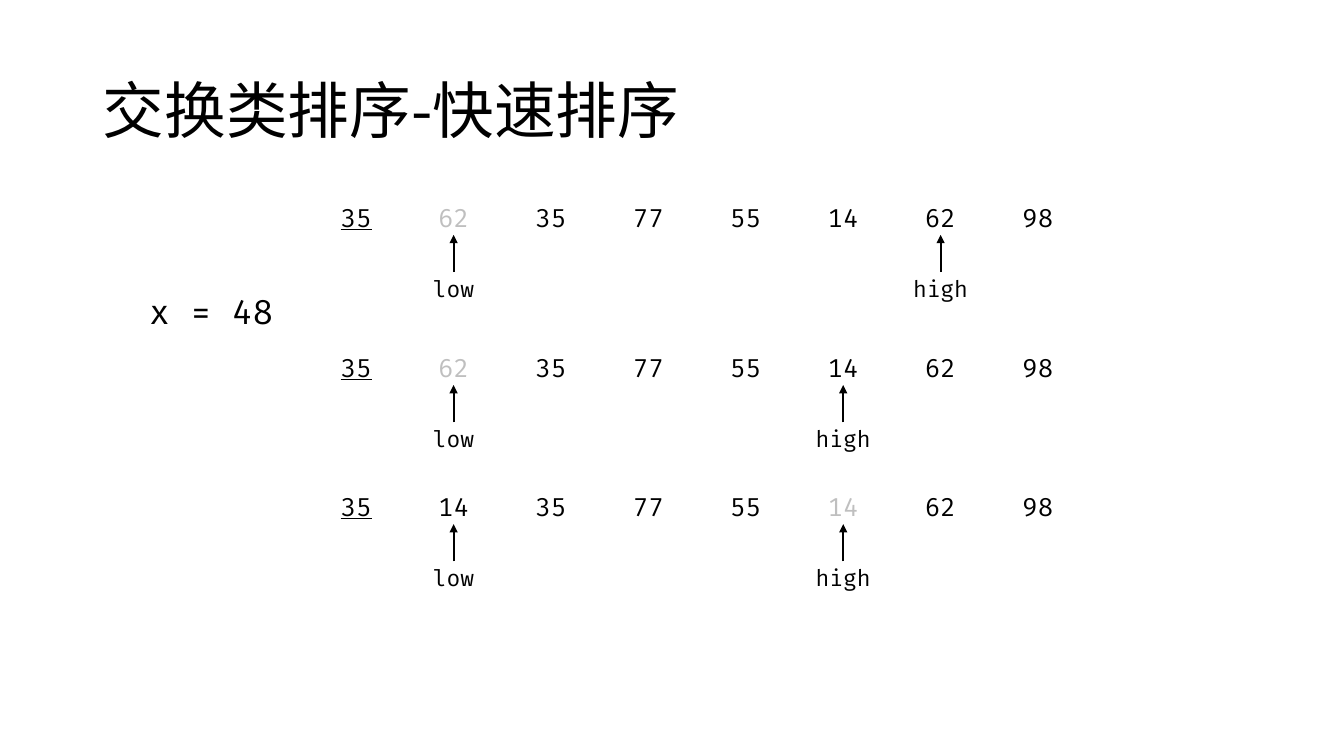
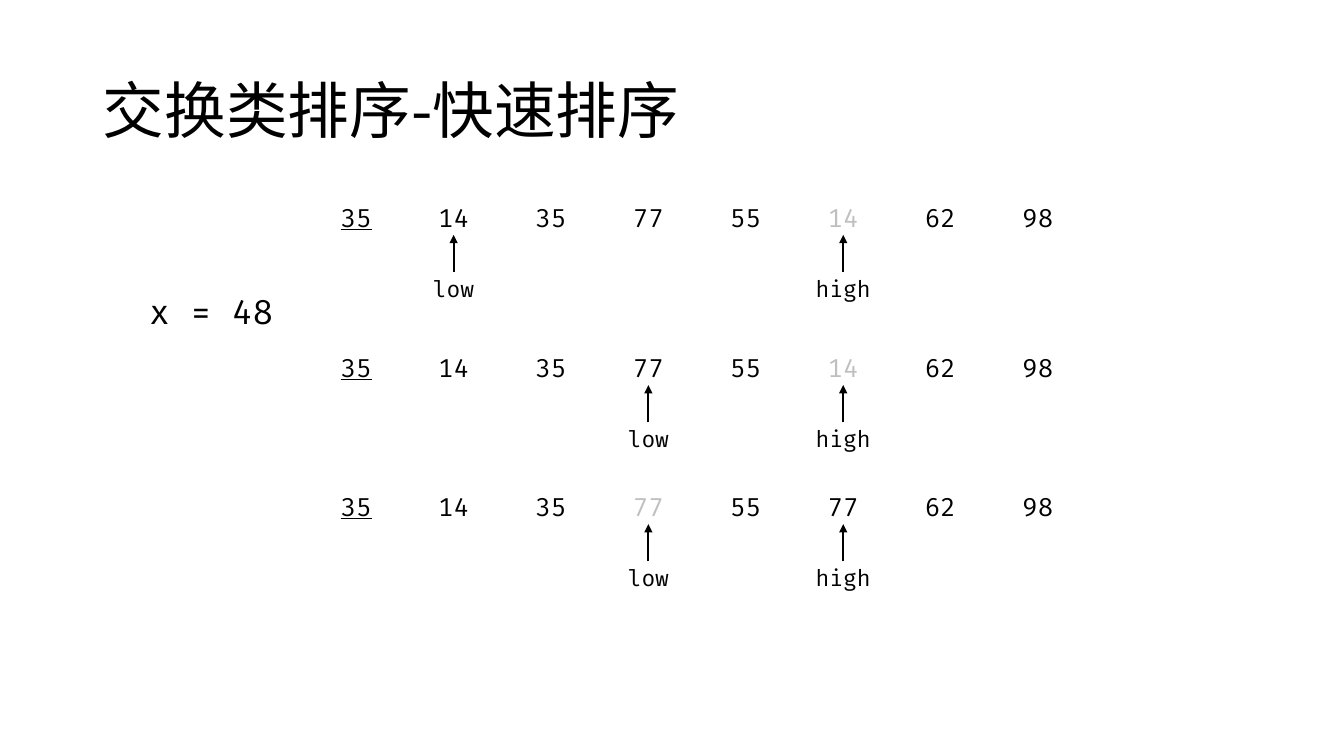
from dataclasses import dataclass

from lxml.etree import SubElement
from pptx import Presentation
from pptx.dml.color import RGBColor
from pptx.enum.shapes import MSO_CONNECTOR
from pptx.enum.text import MSO_ANCHOR, MSO_AUTO_SIZE, PP_ALIGN
from pptx.oxml.ns import qn
from pptx.util import Inches, Pt


@dataclass(frozen=True)
class Theme:
    """Colours, fonts and type sizes of the deck."""
    ink: RGBColor = RGBColor(0, 0, 0)
    muted: RGBColor = RGBColor(0xBF, 0xBF, 0xBF)
    title_font: str = "Noto Sans CJK SC"
    code_font: str = "Fira Code"
    title_size: int = 44
    pivot_size: int = 24
    number_size: int = 18
    label_size: int = 16
    arrow_width: float = 1.5


class SortDeck:
    """Draws the steps of a sort, one page at a time."""

    table_left = 3.05
    column_width = 0.966
    row_height = 0.66
    arrow_top = 0.48
    arrow_length = 0.37
    label_top = 0.83
    label_width = 1.26

    def __init__(self, theme):
        """Open an empty wide deck."""
        self.theme = theme
        self.deck = Presentation()
        self.deck.slide_width = Inches(13.33)
        self.deck.slide_height = Inches(7.5)
        self.page = None

    def add_span(self, frame, text, size, font, align=PP_ALIGN.CENTER, color=None, **extra):
        """Put one styled span of text into a frame."""
        para = frame.paragraphs[0]
        para.alignment = align
        span = para.add_run()
        span.text = text
        formats = {"size": Pt(size), "name": font, **extra}
        for name, value in formats.items():
            setattr(span.font, name, value)
        span.font.color.rgb = color or self.theme.ink
        SubElement(span.font._element, qn("a:ea"), typeface=font)
        return para

    def add_page(self, title):
        """Start a page with its title."""
        self.page = self.deck.slides.add_slide(self.deck.slide_layouts[5])
        box = self.page.shapes.title
        place = {"left": 0.92, "top": 0.4, "width": 11.5, "height": 1.45}
        for name, value in place.items():
            setattr(box, name, Inches(value))
        box.text_frame.vertical_anchor = MSO_ANCHOR.MIDDLE
        para = self.add_span(box.text_frame, title, self.theme.title_size,
                             self.theme.title_font, PP_ALIGN.LEFT)
        para.line_spacing = 0.9

    def add_text(self, shapes, text, left, top, width, height, size):
        """Add a centred code label to the page or to a group."""
        box = shapes.add_textbox(*map(Inches, (left, top, width, height)))
        formats = {"word_wrap": True, "auto_size": MSO_AUTO_SIZE.SHAPE_TO_FIT_TEXT}
        for name, value in formats.items():
            setattr(box.text_frame, name, value)
        self.add_span(box.text_frame, text, size, self.theme.code_font)

    def add_pivot(self, text):
        """Add the pivot value beside the rows."""
        self.add_text(self.page.shapes, text, 1.29, 2.84, 1.61, 0.5, self.theme.pivot_size)

    def add_numbers(self, numbers, vacant, top):
        """Add a row of numbers with the first underlined and the vacant one muted."""
        table = self.page.shapes.add_table(
            1, len(numbers), Inches(self.table_left), Inches(top),
            Inches(self.column_width * len(numbers)), Inches(self.row_height)).table
        table.first_row = table.horz_banding = False
        margins = {"margin_left": 0.08, "margin_right": 0.08,
                   "margin_top": 0.04, "margin_bottom": 0.04}
        for index, number in enumerate(numbers):
            cell = table.cell(0, index)
            cell.fill.background()
            cell.vertical_anchor = MSO_ANCHOR.MIDDLE
            for name, value in margins.items():
                setattr(cell, name, Inches(value))
            color = self.theme.muted if index == vacant else self.theme.ink
            self.add_span(cell.text_frame, str(number), self.theme.number_size,
                          self.theme.code_font, color=color, underline=index == 0)

    def add_pointer(self, text, column, top):
        """Add a grouped arrow and label under a column."""
        shapes = self.page.shapes.add_group_shape().shapes
        center = self.table_left + self.column_width * (column + 0.5)
        tip = top + self.arrow_top
        arrow = shapes.add_connector(
            MSO_CONNECTOR.STRAIGHT, Inches(center), Inches(tip + self.arrow_length),
            Inches(center), Inches(tip))
        arrow.line.color.rgb = self.theme.ink
        arrow.line.width = Pt(self.theme.arrow_width)
        SubElement(arrow.line._get_or_add_ln(), qn("a:tailEnd"), type="triangle")
        SubElement(arrow._element.spPr, qn("a:effectLst"))
        self.add_text(shapes, text, center - self.label_width / 2, top + self.label_top,
                      self.label_width, 0.37, self.theme.label_size)

    def add_step(self, numbers, vacant, low, high, top):
        """Add one step of the partition."""
        self.add_numbers(numbers, vacant, top)
        self.add_pointer("low", low, top)
        self.add_pointer("high", high, top)


START = (35, 62, 35, 77, 55, 14, 62, 98)
LEFT_FILLED = (35, 14, 35, 77, 55, 14, 62, 98)
RIGHT_FILLED = (35, 14, 35, 77, 55, 77, 62, 98)
STEP_TOPS = (1.85, 3.34, 4.72)
PAGES = (
    ((START, 1, 1, 6), (START, 1, 1, 5), (LEFT_FILLED, 5, 1, 5)),
    ((LEFT_FILLED, 5, 1, 5), (LEFT_FILLED, 5, 3, 5), (RIGHT_FILLED, 3, 3, 5)),
)

sort_deck = SortDeck(Theme())
for steps in PAGES:
    sort_deck.add_page("交换类排序-快速排序")
    sort_deck.add_pivot("x = 48")
    for step, step_top in zip(steps, STEP_TOPS):
        sort_deck.add_step(*step, step_top)
sort_deck.deck.save("out.pptx")
